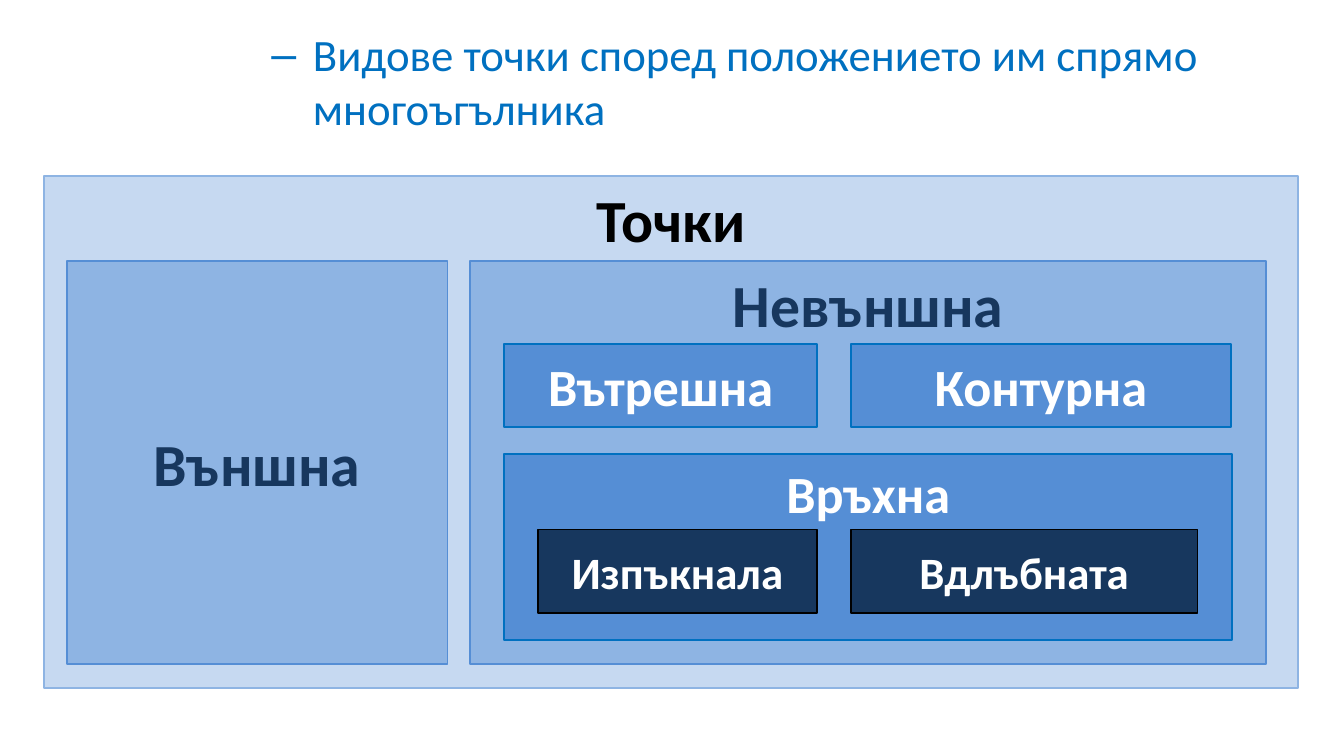
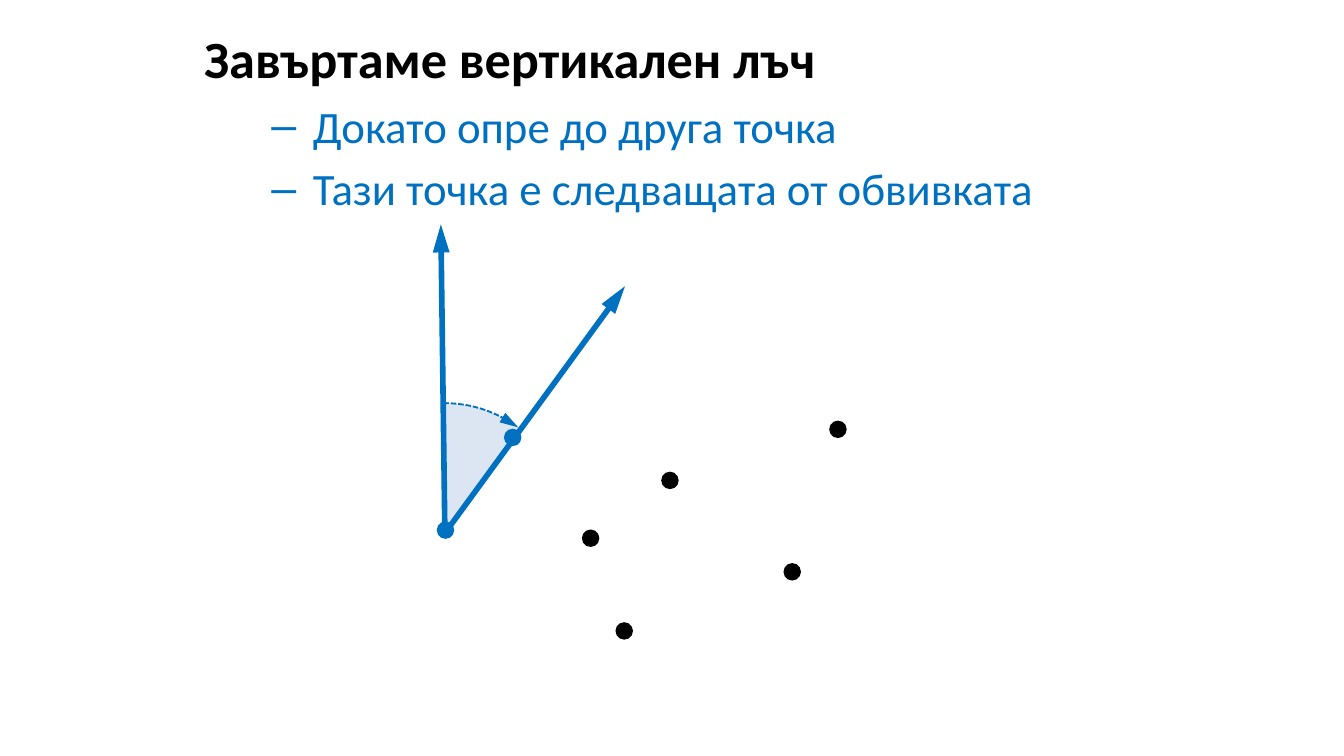
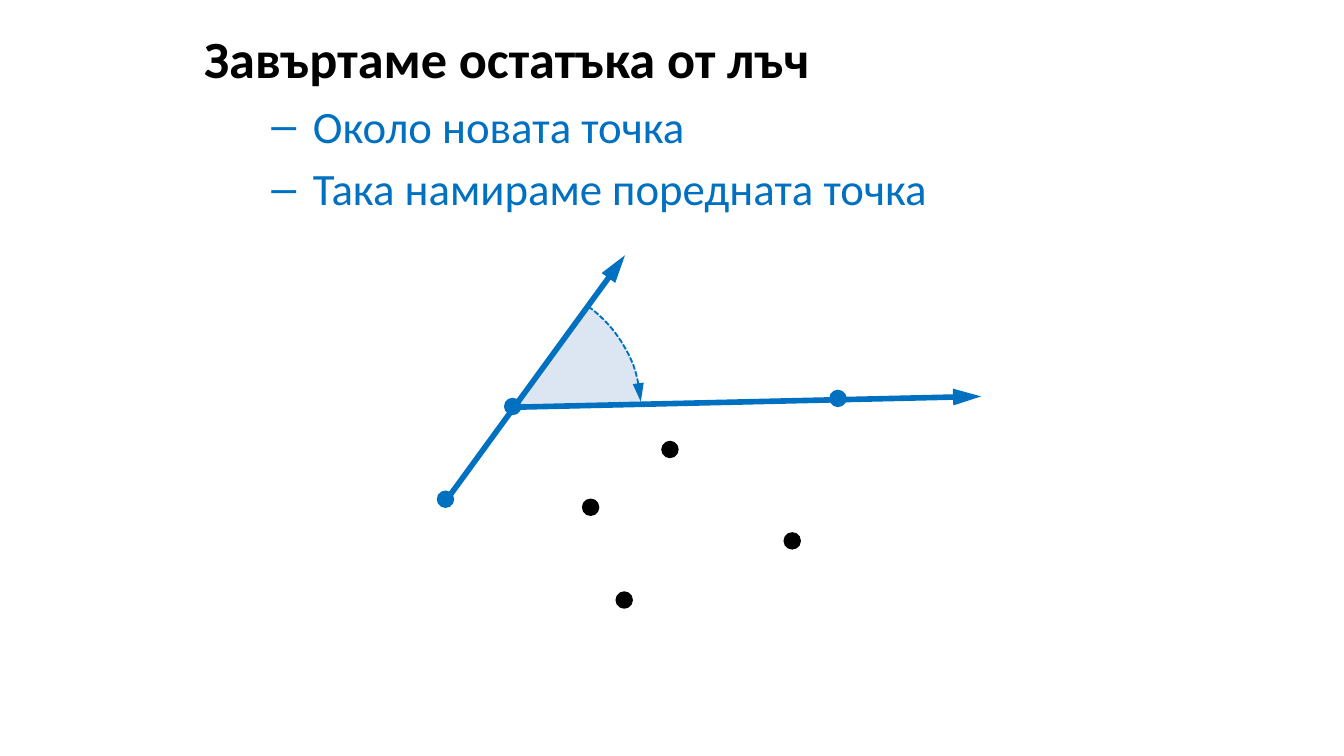
from lxml import etree
from pptx import Presentation
from pptx.dml.color import RGBColor
from pptx.enum.dml import MSO_LINE
from pptx.enum.shapes import MSO_CONNECTOR, MSO_SHAPE
from pptx.enum.text import MSO_ANCHOR, PP_ALIGN
from pptx.oxml.ns import qn
from pptx.util import Inches, Pt

RECT, OVAL, ARC = MSO_SHAPE.RECTANGLE, MSO_SHAPE.OVAL, MSO_SHAPE.ARC
STRAIGHT = MSO_CONNECTOR.STRAIGHT
DASH = MSO_LINE.SQUARE_DOT
TOP, MIDDLE = MSO_ANCHOR.TOP, MSO_ANCHOR.MIDDLE
LEFT, CENTER = PP_ALIGN.LEFT, PP_ALIGN.CENTER

BLUE, BLACK, PALE = "0070C0", "000000", "DCE6F2"
HEAD = {"size": Pt(28), "bold": True}
ITEM = {"size": Pt(24), "bold": False}
TEXT_BOX = (1.42, 0.15, 8.58, 5.17)

LEVELS = [
    {"fill": "C6D9F1", "line": "8EB4E3", "ink": BLACK, "size": 32},
    {"fill": "8EB4E3", "line": "558ED5", "ink": "17375E", "size": 32},
    {"fill": "558ED5", "line": BLUE, "ink": "FFFFFF", "size": 28},
    {"fill": "17375E", "line": BLACK, "ink": "FFFFFF", "size": 24},
]
KINDS = [
    ("Точки", 0, TOP, (0, 0, 9.33, 3.81)),
    ("Невъншна", 1, TOP, (3.17, 0.63, 5.92, 3)),
    ("Външна", 1, MIDDLE, (0.17, 0.63, 2.83, 3)),
    ("Контурна", 2, MIDDLE, (6, 1.25, 2.83, 0.62)),
    ("Връхна", 2, TOP, (3.42, 2.07, 5.42, 1.38)),
    ("Вътрешна", 2, MIDDLE, (3.42, 1.25, 2.33, 0.62)),
    ("Изпъкнала", 3, MIDDLE, (3.67, 2.63, 2.08, 0.62)),
    ("Вдлъбната", 3, MIDDLE, (6, 2.63, 2.58, 0.62)),
]

DOT, SWEEP = 0.13, 1.9
START, NEXT, FAR = (0, 0.75), (0.5, 0.06), (2.92, 0)
DOTS = [(1.67, 0.38), NEXT, START, (1.33, 1.5), (2.58, 1.06), FAR, (1.08, 0.81)]
UP = (0.06, 0.82, 0.03, -1.46)
SLOPE = (0.08, 0.81, 1.4, -1)
FLAT = (0.58, 0.13, 4.05, 0.05)
SCENES = [
    {
        "title": "Завъртаме вертикален лъч",
        "items": ["Докато опре до друга точка", "Тази точка е следващата от обвивката"],
        "box": (3.25, 3.13), "arc": (-0.9, -0.13), "turn": (162, 183.5),
        "rays": [UP, SLOPE], "found": [START, NEXT],
    },
    {
        "title": "Завъртаме остатъка от лъч",
        "items": ["Около новата точка", "Така намираме поредната точка"],
        "box": (3.25, 2.9), "arc": (-0.38, -0.8), "turn": (183.56, 213.8),
        "rays": [FLAT, SLOPE], "found": [START, NEXT, FAR],
    },
]


def color(code):
    """Turn a hex string into a colour."""
    return RGBColor.from_string(code)


def write(para, text, ink, form):
    """Add a run of text with its font values."""
    run = para.add_run()
    run.text = text
    for key, value in {"name": "Calibri", **form}.items():
        setattr(run.font, key, value)
    run.font.color.rgb = color(ink)


def shape(slide, kind, box, fill, line=None):
    """Add a preset shape with a flat fill and an optional thin line."""
    item = slide.shapes.add_shape(kind, *map(Inches, box))
    item.shadow.inherit = False
    item.fill.solid()
    item.fill.fore_color.rgb = color(fill)
    if line:
        item.line.color.rgb = color(line)
        item.line.width = Pt(1)
    else:
        item.line.fill.background()
    return item


def tip(line):
    """Put a long arrowhead at the end of a line."""
    stroke = line.line._get_or_add_ln()
    etree.SubElement(stroke, qn("a:tailEnd"), type="triangle", len="lg")


def ray(slide, ends):
    """Add a thick blue arrow."""
    line = slide.shapes.add_connector(STRAIGHT, *map(Inches, ends))
    line.line.color.rgb = color(BLUE)
    line.line.width = Pt(3)
    tip(line)
    etree.SubElement(line._element.spPr, qn("a:effectLst"))


def body(slide, box, items, title=None):
    """Add an optional bold title and dashed blue items."""
    frame = slide.shapes.add_textbox(*map(Inches, box)).text_frame
    frame.word_wrap = True
    rows = [(title, BLACK, HEAD)] if title else []
    rows += [(text, BLUE, ITEM) for text in items]
    for num, (text, ink, form) in enumerate(rows):
        para = frame.add_paragraph() if num else frame.paragraphs[0]
        para.alignment = LEFT
        if num:
            para.space_before = Pt(4.8)
        if form is ITEM:
            para.level = 1
            props = para._p.get_or_add_pPr()
            props.set("marL", str(Inches(0.81)))
            props.set("indent", str(Inches(-0.31)))
            etree.SubElement(props, qn("a:buFont"), typeface="Arial")
            etree.SubElement(props, qn("a:buChar"), char="–")
        write(para, text, ink, form)


def nest(slide, left, top):
    """Draw the nested kinds of points from the given corner."""
    for name, depth, anchor, (x, y, wide, high) in KINDS:
        look = LEVELS[depth]
        box = (left + x, top + y, wide, high)
        frame = shape(slide, RECT, box, look["fill"], look["line"]).text_frame
        frame.word_wrap = True
        frame.vertical_anchor = anchor
        para = frame.paragraphs[0]
        para.alignment = CENTER
        write(para, name, look["ink"], {"size": Pt(look["size"]), "bold": True})


def scene(slide, left, top, data):
    """Draw the turning ray and the points from the given corner."""
    x, y = data["arc"]
    arc = shape(slide, ARC, (left + x, top + y, SWEEP, SWEEP), PALE, BLUE)
    for num, turn in enumerate(data["turn"]):
        arc.adjustments[num] = turn
    arc.line.dash_style = DASH
    tip(arc)
    for x1, y1, x2, y2 in data["rays"]:
        ray(slide, (left + x1, top + y1, left + x2, top + y2))
    for dot in DOTS:
        ink = BLUE if dot in data["found"] else BLACK
        shape(slide, OVAL, (left + dot[0], top + dot[1], DOT, DOT), ink)


def main():
    """Build and save the slides."""
    deck = Presentation()
    deck.slide_width = Inches(10)
    deck.slide_height = deck.slide_width * 9 // 16
    blank = deck.slide_layouts[6]
    slide = deck.slides.add_slide(blank)
    body(slide, TEXT_BOX, ["Видове точки според положението им спрямо многоъгълника"])
    nest(slide, 0.33, 1.31)
    for data in SCENES:
        slide = deck.slides.add_slide(blank)
        body(slide, TEXT_BOX, data["items"], data["title"])
        scene(slide, *data["box"], data)
    deck.save("out.pptx")


if __name__ == "__main__":
    main()
